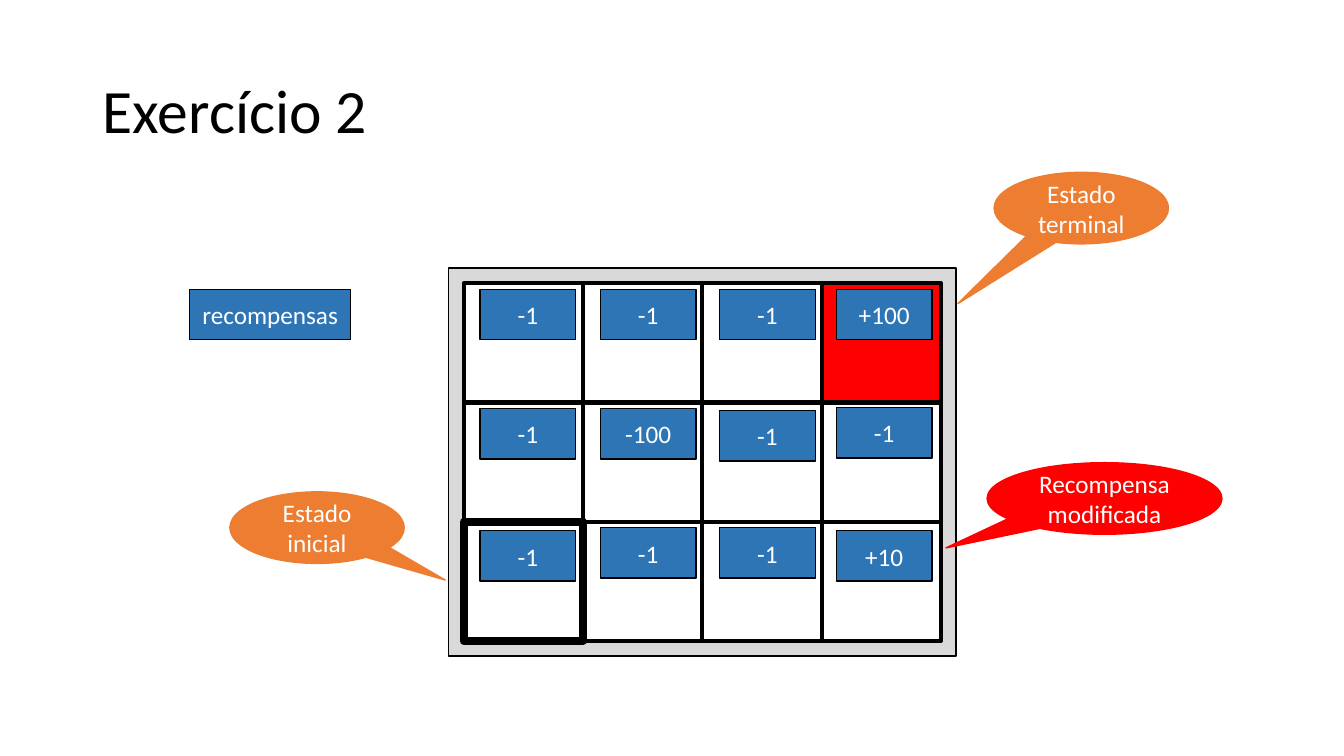
from pptx import Presentation
from pptx import util as u
from pptx.dml.color import RGBColor
from pptx.enum import shapes, text

SLIDE_W, SLIDE_H = 13.33, 7.5
FONT = "Calibri"
BLACK, WHITE, GREY = "000000", "FFFFFF", "D9D9D9"
BLUE, ORANGE, RED = "2E75B6", "ED7D31", "FF0000"

TITLE = "Exercício 2"
LEGEND = "recompensas"
# Each reward with the drop of its label below the top of its cell
REWARDS = [
    [("-1", 0.06), ("-1", 0.06), ("-1", 0.06), ("+100", 0.06)],
    [("-1", 0.06), ("-100", 0.06), ("-1", 0.08), ("-1", 0.05)],
    [("-1", 0.09), ("-1", 0.06), ("-1", 0.06), ("+10", 0.09)],
]
START, TERMINAL = (2, 0), (0, 3)
# Wording, colour, left, top, width, pointer tip
CALLOUTS = [
    ("Estado terminal", ORANGE, 9.86, 1.71, 1.73, (-0.708, 1.335)),
    ("Estado inicial", ORANGE, 2.28, 4.88, 1.73, (0.735, 0.732)),
    ("Recompensa modificada", RED, 9.79, 4.59, 2.33, (-0.675, 0.691)),
]
CALLOUT_H = 0.71

GRID_LEFT, GRID_TOP, CELL = 4.6, 2.81, 1.183
MARGIN = 0.15
LABEL_W, LABEL_H = 0.95, 0.5
LABEL_INSETS = (0.16, 0.17, 0.17, 0.145)
RECT = shapes.MSO_SHAPE.RECTANGLE
CALLOUT = shapes.MSO_SHAPE.OVAL_CALLOUT


def colour(hex_code):
    """Turn a hex string into a colour."""
    return RGBColor.from_string(hex_code)


def write(frame, wording, size, ink, align):
    """Put one formatted run, vertically centred, in a text frame."""
    frame.word_wrap = True
    frame.vertical_anchor = text.MSO_ANCHOR.MIDDLE
    paragraph = frame.paragraphs[0]
    paragraph.alignment = align
    run = paragraph.add_run()
    run.text = wording
    run.font.size = u.Pt(size)
    run.font.name = FONT
    run.font.color.rgb = colour(ink)
    return paragraph


def draw(preset, box, fill, line=BLACK, weight=1, wording=None):
    """Add a filled, outlined shape with optional centred wording."""
    shape = slide.shapes.add_shape(preset, *map(u.Inches, box))
    shape.shadow.inherit = False
    shape.fill.solid()
    shape.fill.fore_color.rgb = colour(fill)
    shape.line.color.rgb = colour(line)
    shape.line.width = u.Pt(weight)
    if wording:
        write(shape.text_frame, wording, 18, WHITE, text.PP_ALIGN.CENTER)
    return shape


def corner(row, column):
    """Return the left and top of a grid cell."""
    return GRID_LEFT + column * CELL, GRID_TOP + row * CELL


def draw_cell(row, column):
    """Draw one state of the grid."""
    fill = RED if (row, column) == TERMINAL else WHITE
    weight = 6 if (row, column) == START else 3
    draw(RECT, (*corner(row, column), CELL, CELL), fill, weight=weight)


deck = Presentation()
deck.slide_width, deck.slide_height = u.Inches(SLIDE_W), u.Inches(SLIDE_H)
slide = deck.slides.add_slide(deck.slide_layouts[5])

title = slide.shapes.title
title.left, title.top = u.Inches(0.92), u.Inches(0.4)
title.width, title.height = u.Inches(11.5), u.Inches(1.45)
heading = write(title.text_frame, TITLE, 44, BLACK, text.PP_ALIGN.LEFT)
heading.line_spacing = 0.9

rows, columns = len(REWARDS), len(REWARDS[0])
draw(RECT, (GRID_LEFT - MARGIN, GRID_TOP - MARGIN,
            columns * CELL + 2 * MARGIN, rows * CELL + 2 * MARGIN), GREY)

states = [(row, column) for row in range(rows) for column in range(columns)]
for state in sorted(states, key=lambda place: place == START):
    draw_cell(*state)

draw(RECT, (1.88, GRID_TOP + 0.06, 1.6, LABEL_H), BLUE, wording=LEGEND)
for row, column in states:
    reward, drop = REWARDS[row][column]
    left, top = corner(row, column)
    draw(RECT, (left + LABEL_INSETS[column], top + drop, LABEL_W, LABEL_H),
         BLUE, wording=reward)

for wording, fill, left, top, width, tip in CALLOUTS:
    balloon = draw(CALLOUT, (left, top, width, CALLOUT_H), fill, fill,
                   wording=wording)
    balloon.adjustments[0], balloon.adjustments[1] = tip

deck.save("out.pptx")
